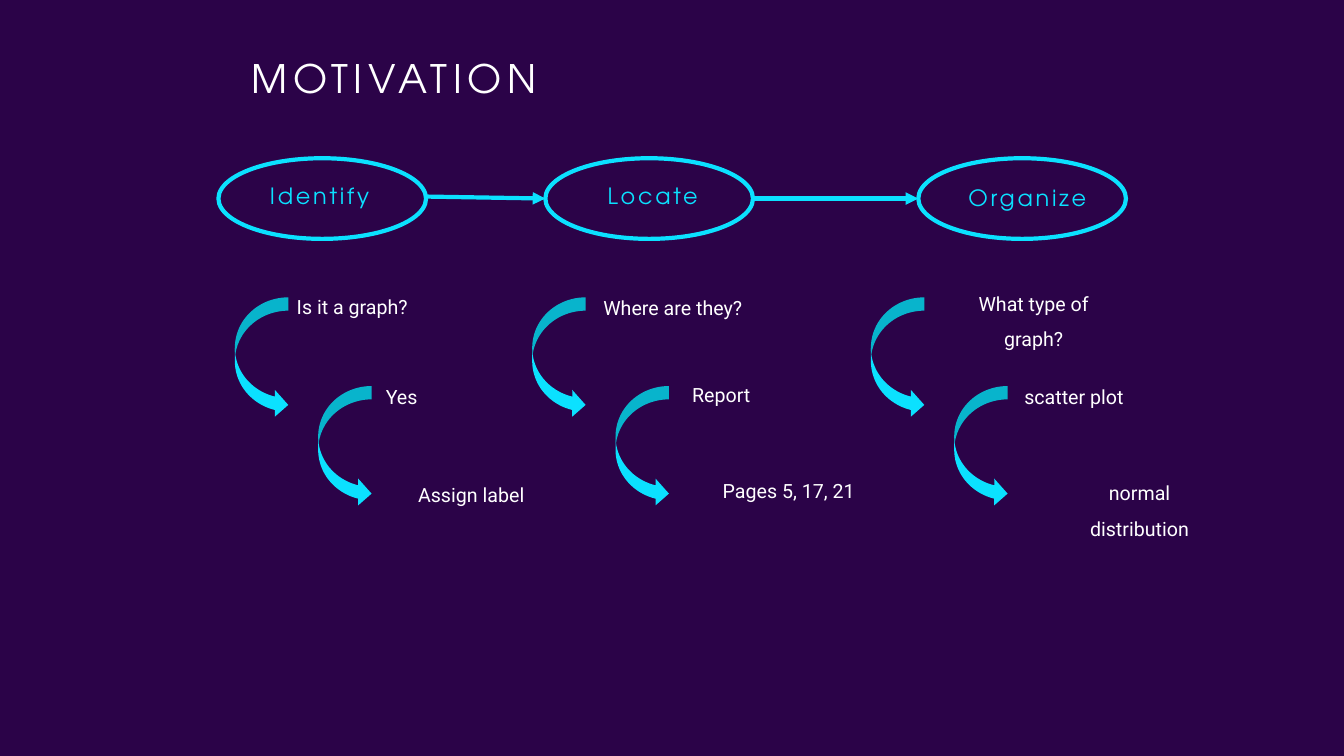
from dataclasses import dataclass

from lxml import etree
from pptx import Presentation
from pptx import util as u
from pptx.dml.color import RGBColor
from pptx.enum import shapes, text
from pptx.oxml import ns

COLUMNS, ROWS = 40, 30


@dataclass(frozen=True)
class Theme:
    ground: str = "2B0348"
    accent: str = "0BE1FF"
    light: str = "FFFFFF"
    display: str = "TeX Gyre Adventor"
    body: str = "Roboto"
    title_size: int = 28
    stage_size: int = 16
    step_size: int = 14
    stroke: int = 3


class Board:
    """Draws on one slide; every length is in grid columns and rows."""

    def __init__(self, deck, theme):
        self.theme = theme
        self.column = deck.slide_width / COLUMNS
        self.row = deck.slide_height / ROWS
        self.slide = deck.slides.add_slide(deck.slide_layouts[6])
        ground = self.slide.background.fill
        ground.solid()
        ground.fore_color.rgb = RGBColor.from_string(theme.ground)

    def place(self, x, y, *more):
        """Turn alternating columns and rows into slide lengths."""
        cells = (x, y, *more)
        return [round(c * (self.row if i % 2 else self.column)) for i, c in enumerate(cells)]

    def stroke(self, line):
        line.color.rgb = RGBColor.from_string(self.theme.accent)
        line.width = u.Pt(self.theme.stroke)

    def label(self, wording, box, color, font, paragraph_format, tracking=0):
        frame = self.slide.shapes.add_textbox(*self.place(*box)).text_frame
        frame.word_wrap = True
        frame.vertical_anchor = text.MSO_ANCHOR.TOP
        paragraph = frame.paragraphs[0]
        for name, value in paragraph_format.items():
            setattr(paragraph, name, value)
        run = paragraph.add_run()
        run.text = wording
        for name, value in font.items():
            setattr(run.font, name, value)
        run.font.color.rgb = RGBColor.from_string(color)
        if tracking:
            run._r.get_or_add_rPr().set("spc", str(tracking * 100))

    def heading(self, wording, box, size, color, tracking):
        font = {"name": self.theme.display, "size": u.Pt(size)}
        self.label(wording, box, color, font, {"line_spacing": 0.9}, tracking)

    def step(self, wording, x, y):
        font = {"name": self.theme.body, "size": u.Pt(self.theme.step_size)}
        layout = {"alignment": text.PP_ALIGN.CENTER, "line_spacing": 1.5}
        self.label(wording, (x, y, 5.49, 2.36), self.theme.light, font, layout)

    def preset(self, kind, box):
        shape = self.slide.shapes.add_shape(kind, *self.place(*box))
        shape.shadow.inherit = False
        return shape

    def ring(self, box):
        ring = self.preset(shapes.MSO_SHAPE.OVAL, box)
        ring.fill.background()
        self.stroke(ring.line)

    def curved_arrow(self, box):
        arrow = self.preset(shapes.MSO_SHAPE.CURVED_RIGHT_ARROW, box)
        arrow.fill.solid()
        arrow.fill.fore_color.rgb = RGBColor.from_string(self.theme.accent)
        arrow.line.fill.background()

    def link(self, start, end):
        ends = self.place(*start, *end)
        link = self.slide.shapes.add_connector(shapes.MSO_CONNECTOR.STRAIGHT, *ends)
        self.stroke(link.line)
        etree.SubElement(link.line._get_or_add_ln(), ns.qn("a:tailEnd"), type="triangle")
        etree.SubElement(link._element.spPr, ns.qn("a:effectLst"))


RING_TOP, RING_WIDTH, RING_HEIGHT = 6.28, 6.18, 3.2
RING_MIDDLE = RING_TOP + RING_HEIGHT / 2
ARROW_TOP, ARROW_WIDTH, ARROW_HEIGHT = 11.8, 1.59, 4.8
ARROW_SHIFT = (2.48, 3.52)

# Stage name, name box, ring column, first arrow column, steps with their places
STAGES = [
    ("Identify", (7.74, 7.16, 8.4, 1.6), 6.5, 6.99,
     [("Is it a graph?", 7.74, 11.04), ("Yes", 9.21, 14.6), ("Assign label", 11.28, 18.48)]),
    ("Locate", (17.79, 7.16, 8.4, 1.6), 16.23, 15.84,
     [("Where are they?", 17.28, 11.08), ("Report", 18.72, 14.52),
      ("Pages 5, 17, 21", 20.73, 18.36)]),
    ("Organize", (28.53, 7.24, 4.74, 1.6), 27.33, 25.92,
     [("What type of graph?", 28.02, 10.92), ("scatter plot", 29.22, 14.6),
      ("normal distribution", 31.17, 18.44)]),
]
LINK_START_ROWS = (7.8, RING_MIDDLE)


def main():
    deck = Presentation()
    deck.slide_width, deck.slide_height = u.Inches(13.33), u.Inches(7.5)
    theme = Theme()
    board = Board(deck, theme)
    board.heading("MOTIVATION", (7.2, 2.16, 16.14, 2.92), theme.title_size, theme.light, 4)

    for name, name_box, ring_x, arrow_x, steps in STAGES:
        board.heading(name, name_box, theme.stage_size, theme.accent, 2)
        board.ring((ring_x, RING_TOP, RING_WIDTH, RING_HEIGHT))
        for step in steps:
            board.step(*step)
        for turn in range(len(steps) - 1):
            dx, dy = (turn * shift for shift in ARROW_SHIFT)
            board.curved_arrow((arrow_x + dx, ARROW_TOP + dy, ARROW_WIDTH, ARROW_HEIGHT))

    ring_columns = [stage[2] for stage in STAGES]
    for left, right, start_y in zip(ring_columns, ring_columns[1:], LINK_START_ROWS):
        board.link((left + RING_WIDTH, start_y), (right, RING_MIDDLE))

    deck.save("out.pptx")


if __name__ == "__main__":
    main()
